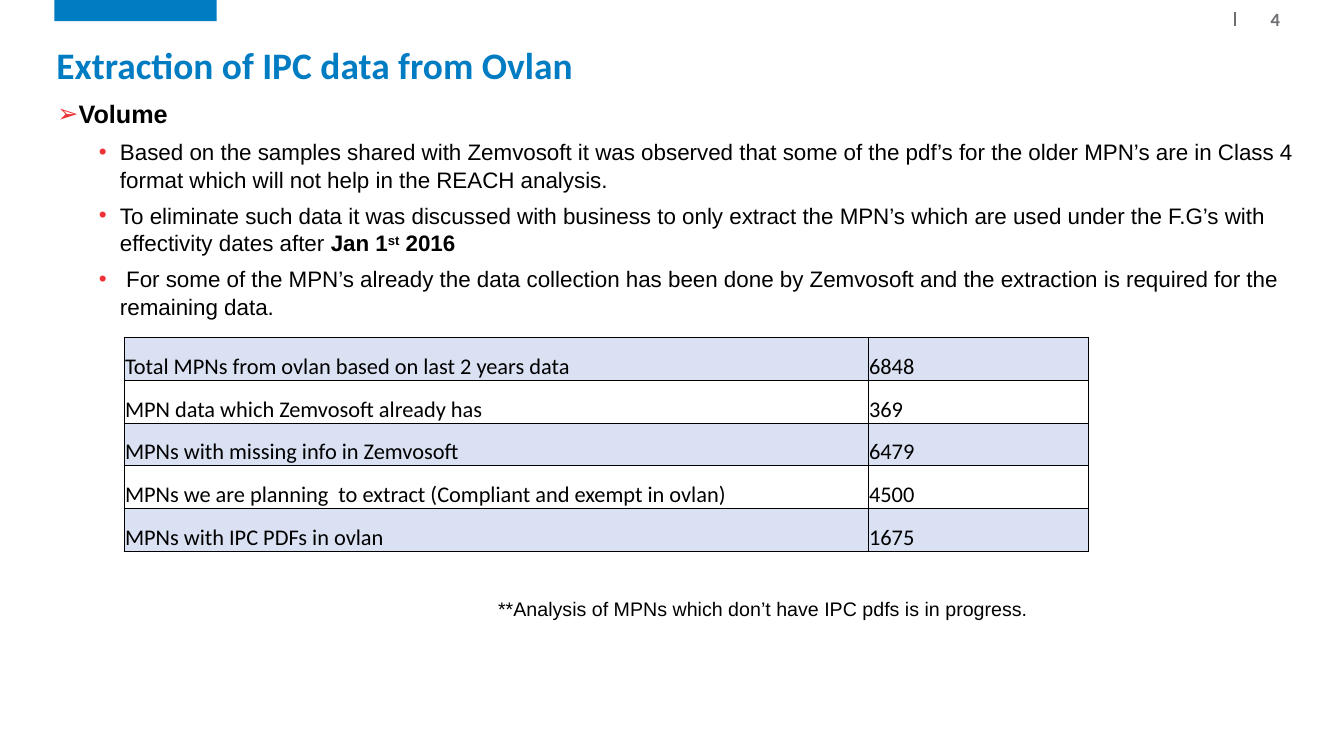
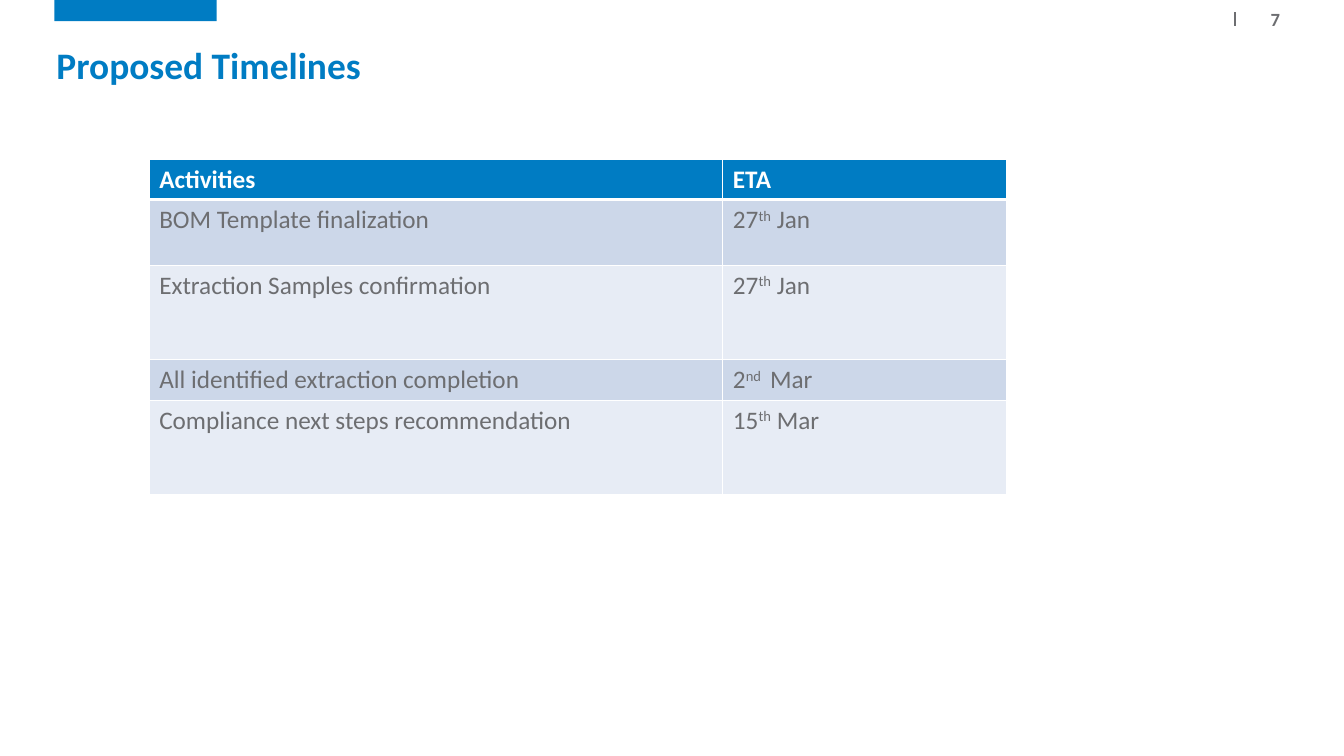
"""Build the volume and timeline slides of the data extraction deck."""
from dataclasses import dataclass
from typing import NamedTuple

from lxml.etree import SubElement
from pptx import Presentation
from pptx.dml.color import RGBColor
from pptx.enum.shapes import MSO_CONNECTOR, MSO_SHAPE
from pptx.enum.text import MSO_ANCHOR, MSO_AUTO_SIZE, PP_ALIGN
from pptx.oxml.ns import qn
from pptx.slide import Slide
from pptx.table import _Cell
from pptx.text.text import _Paragraph
from pptx.util import Inches, Pt

BLUE = RGBColor(0x00, 0x7C, 0xC3)
GRAY = RGBColor(0x6D, 0x6E, 0x71)
RED = RGBColor(0xEE, 0x31, 0x34)
BLACK = RGBColor(0x00, 0x00, 0x00)
WHITE = RGBColor(0xFF, 0xFF, 0xFF)
PALE_BLUE = RGBColor(0xD9, 0xE1, 0xF2)
BAND_DARK = RGBColor(0xCC, 0xD7, 0xE9)
BAND_LIGHT = RGBColor(0xE7, 0xEC, 0xF5)
HEADING_FONT = "Calibri"
BODY_FONT = "Arial"
TITLE_AND_CONTENT, TITLE_ONLY = 1, 5


class Span(NamedTuple):
    text: str
    bold: bool = False
    raised: bool = False


@dataclass(frozen=True)
class Item:
    spans: tuple[Span, ...]
    size: float = 16
    bold: bool = False
    level: int = 2
    bullet: str = "•"
    indent: float = 0.62
    hanging: float = 0.21
    space_before: float = 0


@dataclass(frozen=True)
class Grid:
    left: float
    top: float
    columns: tuple[float, ...]
    rows: tuple[float, ...]
    fills: tuple[RGBColor | None, ...]
    color: RGBColor
    size: float
    border: RGBColor
    border_width: float
    margins: tuple[float, float, float, float] = (0.1, 0.05, 0.1, 0.05)
    anchor: MSO_ANCHOR = MSO_ANCHOR.TOP
    header: bool = False


def plain(text: str) -> tuple[Span, ...]:
    return (Span(text),)


def date(day: str, suffix: str, month: str) -> tuple[Span, ...]:
    return Span(day), Span(suffix, raised=True), Span(f" {month}")


def write(paragraph: _Paragraph, spans: tuple[Span, ...], font_name: str,
          size: float, color: RGBColor, bold: bool = False) -> None:
    font = paragraph.font
    font.name, font.size, font.bold = font_name, Pt(size), bold
    font.color.rgb = color
    for span in spans:
        run = paragraph.add_run()
        run.text = span.text
        if span.bold:
            run.font.bold = True
        if span.raised:
            run._r.get_or_add_rPr().set("baseline", "30000")


def add_frame(slide: Slide, title: str, number: str) -> None:
    band = slide.shapes.add_shape(MSO_SHAPE.RECTANGLE, Inches(0.54), 0,
                                  Inches(1.61), Inches(0.21))
    band.shadow.inherit = False
    band.fill.solid()
    band.fill.fore_color.rgb = BLUE
    band.line.fill.background()

    divider = slide.shapes.add_connector(
        MSO_CONNECTOR.STRAIGHT, Inches(12.25), Inches(0.12), Inches(12.25), Inches(0.26))
    divider.line.color.rgb = GRAY
    divider.line.width = Pt(1)
    SubElement(divider._element.spPr, qn("a:effectLst"))

    page = slide.shapes.add_textbox(Inches(12.51), Inches(0.05), Inches(0.28), Inches(0.28))
    frame = page.text_frame
    frame.word_wrap = False
    frame.vertical_anchor = MSO_ANCHOR.MIDDLE
    frame.margin_left = frame.margin_right = Inches(0.03)
    frame.margin_top = frame.margin_bottom = Inches(0.03)
    frame.paragraphs[0].alignment = PP_ALIGN.CENTER
    write(frame.paragraphs[0], plain(number), HEADING_FONT, 13.3, GRAY, True)

    heading = slide.shapes.title
    heading.left, heading.top = Inches(0.46), Inches(0.15)
    heading.width, heading.height = Inches(12.66), Inches(0.77)
    heading.text_frame.auto_size = MSO_AUTO_SIZE.NONE
    heading.text_frame.vertical_anchor = MSO_ANCHOR.BOTTOM
    paragraph = heading.text_frame.paragraphs[0]
    paragraph.alignment = PP_ALIGN.LEFT
    paragraph.line_spacing = 0.9
    write(paragraph, plain(title), HEADING_FONT, 26.7, BLUE, True)


def set_bullet(paragraph: _Paragraph, item: Item) -> None:
    properties = paragraph._p.get_or_add_pPr()
    properties.set("marL", str(Inches(item.indent)))
    properties.set("indent", str(-Inches(item.hanging)))
    if not item.bullet:
        SubElement(properties, qn("a:buNone"))
        return
    color = SubElement(properties, qn("a:buClr"))
    SubElement(color, qn("a:srgbClr")).set("val", str(RED))
    SubElement(properties, qn("a:buFont")).set("typeface", BODY_FONT)
    SubElement(properties, qn("a:buChar")).set("char", item.bullet)


def add_list(slide: Slide, items: tuple[Item, ...]) -> None:
    body = slide.placeholders[1]
    body.left, body.top = Inches(0.47), Inches(0.92)
    body.width, body.height = Inches(12.65), Inches(5.84)
    frame = body.text_frame
    frame.auto_size = MSO_AUTO_SIZE.NONE
    for index, item in enumerate(items):
        paragraph = frame.add_paragraph() if index else frame.paragraphs[0]
        paragraph.level = item.level
        paragraph.line_spacing = 1.03
        paragraph.space_before = Pt(item.space_before)
        paragraph.space_after = Pt(6)
        set_bullet(paragraph, item)
        write(paragraph, item.spans, BODY_FONT, item.size, BLACK, item.bold)


def set_borders(cell: _Cell, color: RGBColor, width: float, bottom: float) -> None:
    properties = cell._tc.get_or_add_tcPr()
    for side in "LRTB":
        line = SubElement(properties, qn(f"a:ln{side}"))
        line.set("w", str(Pt(bottom if side == "B" else width)))
        fill = SubElement(line, qn("a:solidFill"))
        SubElement(fill, qn("a:srgbClr")).set("val", str(color))


def add_grid(slide: Slide, grid: Grid,
             content: tuple[tuple[tuple[Span, ...], ...], ...]) -> None:
    table = slide.shapes.add_table(
        len(grid.rows), len(grid.columns), Inches(grid.left), Inches(grid.top),
        Inches(sum(grid.columns)), Inches(sum(grid.rows))).table
    table.first_row = grid.header
    table.horz_banding = False
    for column, width in zip(table.columns, grid.columns):
        column.width = Inches(width)
    for index, (row, height, fill, texts) in enumerate(
            zip(table.rows, grid.rows, grid.fills, content)):
        row.height = Inches(height)
        heading = grid.header and index == 0
        for cell, spans in zip(row.cells, texts):
            (cell.margin_left, cell.margin_top, cell.margin_right,
             cell.margin_bottom) = map(Inches, grid.margins)
            cell.vertical_anchor = grid.anchor
            set_borders(cell, grid.border, grid.border_width,
                        3 if heading else grid.border_width)
            if fill is None:
                cell.fill.background()
            else:
                cell.fill.solid()
                cell.fill.fore_color.rgb = fill
            write(cell.text_frame.paragraphs[0], spans, HEADING_FONT, grid.size,
                  WHITE if heading else grid.color, heading)


VOLUME_ITEMS = (
    Item(plain("Volume"), size=18, bold=True, level=0, bullet="➢", indent=0.21),
    Item(plain("Based on the samples shared with Zemvosoft it was observed that some of the "
               "pdf’s for the older MPN’s are in Class 4 format which will not help in the "
               "REACH analysis.")),
    Item((Span("To eliminate such data it was discussed with business to only extract the "
               "MPN’s which are used under the F.G’s with effectivity dates after "),
          Span("Jan 1", bold=True), Span("st", bold=True, raised=True),
          Span(" 2016", bold=True))),
    Item(plain(" For some of the MPN’s already the data collection has been done by Zemvosoft "
               "and the extraction is required for the remaining data.")),
    Item(plain("**Analysis of MPNs which don’t have IPC pdfs is in progress."),
         size=14, level=0, bullet="", indent=4.37, hanging=0, space_before=191),
)
VOLUME_GRID = Grid(
    left=1.23, top=3.35, columns=(7.38, 2.18), rows=(2.12 / 5,) * 5,
    fills=(PALE_BLUE, None, PALE_BLUE, None, PALE_BLUE), color=BLACK, size=16,
    border=BLACK, border_width=0.5, margins=(0.01, 0.01, 0.01, 0), anchor=MSO_ANCHOR.BOTTOM)
VOLUMES = (
    (plain("Total MPNs from ovlan based on last 2 years data"), plain("6848")),
    (plain("MPN data which Zemvosoft already has"), plain("369")),
    (plain("MPNs with missing info in Zemvosoft"), plain("6479")),
    (plain("MPNs we are planning  to extract (Compliant and exempt in ovlan)"), plain("4500")),
    (plain("MPNs with IPC PDFs in ovlan"), plain("1675")),
)
TIMELINE_GRID = Grid(
    left=1.48, top=1.58, columns=(5.69, 2.81), rows=(0.38, 0.65, 0.94, 0.4, 0.94),
    fills=(BLUE, BAND_DARK, BAND_LIGHT, BAND_DARK, BAND_LIGHT), color=GRAY, size=18,
    border=WHITE, border_width=1, header=True)
TIMELINE = (
    (plain("Activities"), plain("ETA")),
    (plain("BOM Template finalization"), date("27", "th", "Jan")),
    (plain("Extraction Samples confirmation"), date("27", "th", "Jan")),
    (plain("All identified extraction completion"), date("2", "nd ", "Mar")),
    (plain("Compliance next steps recommendation"), date("15", "th", "Mar")),
)


def main() -> None:
    deck = Presentation()
    deck.slide_width, deck.slide_height = Inches(13.33), Inches(7.5)

    volume = deck.slides.add_slide(deck.slide_layouts[TITLE_AND_CONTENT])
    add_frame(volume, "Extraction of IPC data from Ovlan", "4")
    add_list(volume, VOLUME_ITEMS)
    add_grid(volume, VOLUME_GRID, VOLUMES)

    timelines = deck.slides.add_slide(deck.slide_layouts[TITLE_ONLY])
    add_frame(timelines, "Proposed Timelines", "7")
    add_grid(timelines, TIMELINE_GRID, TIMELINE)

    deck.save("out.pptx")


main()
